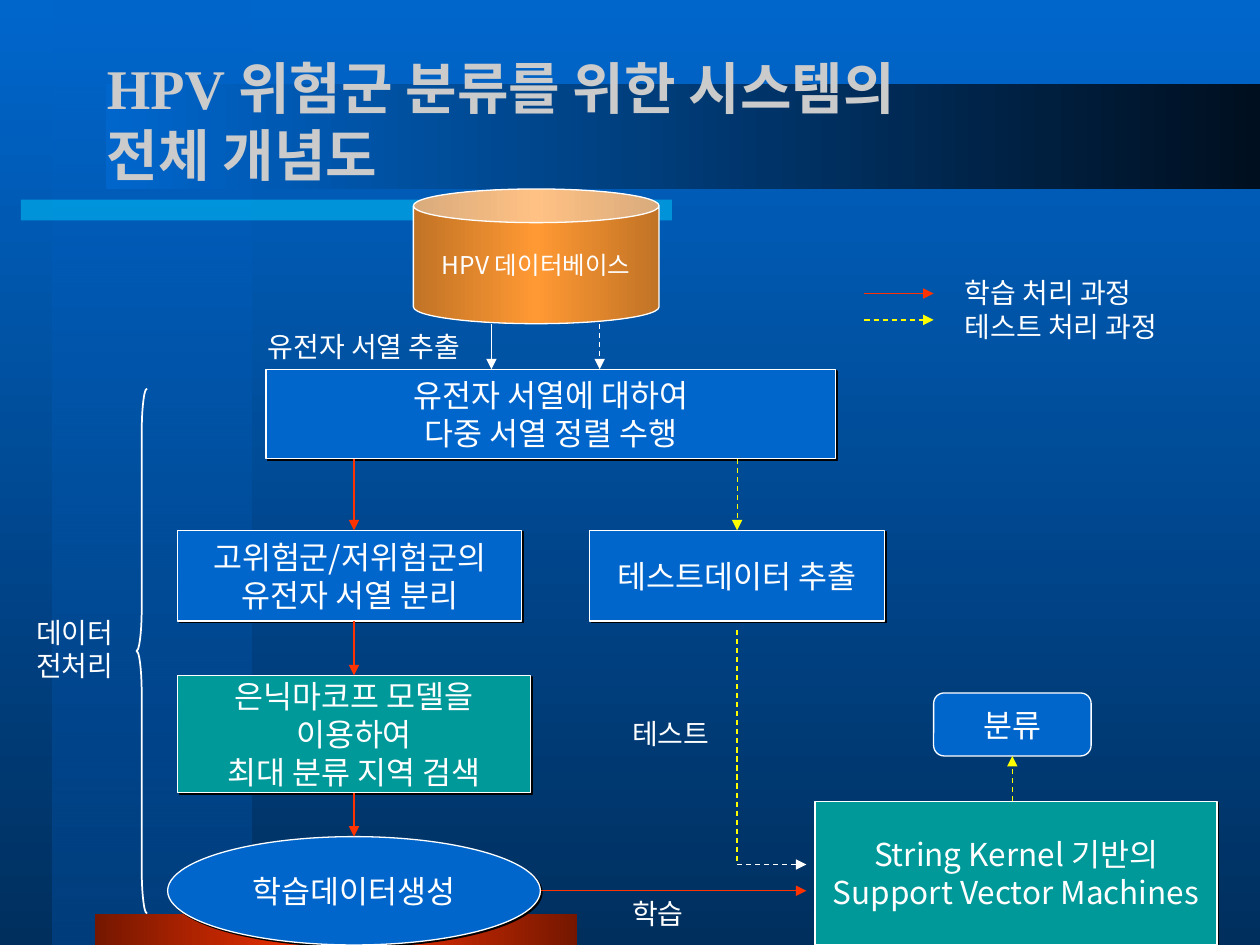
from lxml import etree
from pptx import Presentation
from pptx.dml.color import RGBColor
from pptx.enum import dml, shapes, text
from pptx.oxml import parse_xml
from pptx.oxml.ns import nsdecls, qn
from pptx.util import Pt

WHITE = RGBColor(0xFF, 0xFF, 0xFF)
TITLE_GRAY = RGBColor(0xCB, 0xCB, 0xCB)
BLUE = RGBColor(0x00, 0x66, 0xCC)
MID_BLUE = RGBColor(0x00, 0x3E, 0x7D)
DEEP_BLUE = RGBColor(0x00, 0x2F, 0x5E)
NIGHT = RGBColor(0x00, 0x0F, 0x1F)
CYAN = RGBColor(0x00, 0xCC, 0xFF)
TEAL = RGBColor(0x00, 0x99, 0x99)
RED = RGBColor(0xFF, 0x33, 0x00)
DARK_RED = RGBColor(0x75, 0x17, 0x00)
YELLOW = RGBColor(0xFF, 0xFF, 0x00)
ORANGE = RGBColor(0xFF, 0x99, 0x33)
BROWN = RGBColor(0xC1, 0x73, 0x26)

SANS = "Noto Sans CJK KR"
SERIF = "Times New Roman"
SHAPE = shapes.MSO_SHAPE
CENTER = text.PP_ALIGN.CENTER
LEFT = text.PP_ALIGN.LEFT


def set_gradient(fill, angle, *stops):
    """Fill with stops of (percent, colour, opacity percent); angle is clockwise."""
    fill.gradient()
    gradient = fill._fill._gradFill
    stop_list = gradient.find(qn("a:gsLst"))
    for stop in list(stop_list):
        stop_list.remove(stop)
    for percent, color, opacity in stops:
        stop_list.append(parse_xml(
            f'<a:gs {nsdecls("a")} pos="{percent * 1000}"><a:srgbClr val="{color}">'
            f'<a:alpha val="{opacity * 1000}"/></a:srgbClr></a:gs>'))
    gradient.find(qn("a:lin")).set("ang", str(angle * 60000))


def set_text(shape, lines, size=18, font=SANS, color=WHITE, bold=False,
             align=CENTER, anchor=text.MSO_ANCHOR.MIDDLE, wrap=False):
    frame = shape.text_frame
    frame.word_wrap = wrap
    frame.vertical_anchor = anchor
    for index, line in enumerate(lines):
        paragraph = frame.paragraphs[0] if index == 0 else frame.add_paragraph()
        paragraph.text = line
        paragraph.alignment = align
        for run in paragraph.runs:
            run.font.size = Pt(size)
            run.font.name = font
            run.font.bold = bold
            run.font.color.rgb = color
            east_asian = etree.SubElement(run.font._element, qn("a:ea"))
            east_asian.set("typeface", SANS)


def add_label(slide, left, top, width, height, lines, **text_format):
    label = slide.shapes.add_textbox(Pt(left), Pt(top), Pt(width), Pt(height))
    options = dict(size=16, align=LEFT, anchor=text.MSO_ANCHOR.TOP)
    set_text(label, lines, **{**options, **text_format})
    label.text_frame.auto_size = text.MSO_AUTO_SIZE.SHAPE_TO_FIT_TEXT


def add_shape(slide, kind, left, top, width, height, fill=None, outline=None):
    shape = slide.shapes.add_shape(kind, Pt(left), Pt(top), Pt(width), Pt(height))
    shape.shadow.inherit = False
    if fill is None:
        shape.fill.background()
    else:
        shape.fill.solid()
        shape.fill.fore_color.rgb = fill
    if outline is None:
        shape.line.fill.background()
    else:
        shape.line.color.rgb = WHITE
        shape.line.width = Pt(outline)
    return shape


def add_node(slide, left, top, width, height, lines,
             fill=BLUE, kind=SHAPE.RECTANGLE, shadow=True, size=18):
    node = add_shape(slide, kind, left, top, width, height, fill, 0.75)
    set_text(node, lines, size=size)
    if shadow:
        effects = node._element.spPr.find(qn("a:effectLst"))
        effects.append(parse_xml(
            f'<a:outerShdw {nsdecls("a")} blurRad="0" dist="{Pt(1.4)}" dir="2700000" '
            'algn="ctr" rotWithShape="0"><a:srgbClr val="000000"/></a:outerShdw>'))
    return node


def add_arrow(slide, x1, y1, x2, y2, color, dashed=False, head=True):
    arrow = slide.shapes.add_connector(
        shapes.MSO_CONNECTOR.STRAIGHT, Pt(x1), Pt(y1), Pt(x2), Pt(y2))
    arrow.line.color.rgb = color
    arrow.line.width = Pt(0.75)
    if dashed:
        arrow.line.dash_style = dml.MSO_LINE.DASH
    if head:
        etree.SubElement(arrow.line._get_or_add_ln(), qn("a:tailEnd"), type="triangle")
    etree.SubElement(arrow._element.spPr, qn("a:effectLst"))
    return arrow


def draw_backdrop(slide, left, top, width, height):
    set_gradient(slide.background.fill, 90, (0, BLUE, 100), (100, DEEP_BLUE, 100))
    side_band = add_shape(slide, SHAPE.RECTANGLE, left + 30, top, 114, height, BLUE)
    set_gradient(side_band.fill, 90, (0, BLUE, 50), (100, MID_BLUE, 100))
    underline = add_shape(slide, SHAPE.RECTANGLE, left + 12, top + 114, 372, 12, CYAN)
    color = underline._element.spPr.find(qn("a:solidFill"))[0]
    etree.SubElement(color, qn("a:alpha"), val="50000")
    foot = add_shape(slide, SHAPE.RECTANGLE, left + 54, top + height - 18, 276, 18, RED)
    set_gradient(foot.fill, 180, (0, DARK_RED, 100), (50, RED, 100), (100, DARK_RED, 100))
    title_band = add_shape(slide, SHAPE.RECTANGLE, left + 60.5, top + 48, width - 60.5, 60, BLUE)
    set_gradient(title_band.fill, 180, (0, NIGHT, 100), (100, BLUE, 100))


def draw_title(slide, left, top, width, height):
    title = slide.shapes.add_textbox(Pt(left), Pt(top), Pt(width), Pt(height))
    set_text(title, ["HPV 위험군 분류를 위한 시스템의\v전체 개념도"], size=32, font=SERIF,
             color=TITLE_GRAY, bold=True, align=LEFT, wrap=True)


def draw_database(slide, left, top, width, height):
    """Database cylinder, with the extraction arrows that leave its foot."""
    database = add_node(slide, left, top, width, height, ["HPV 데이터베이스"],
                        kind=SHAPE.CAN, shadow=False, size=14)
    database.adjustments[0] = 0.25
    set_gradient(database.fill, 180,
                 (0, BROWN, 100), (50, ORANGE, 100), (100, BROWN, 100))
    bottom = top + height
    add_label(slide, left - 112.4, bottom, 168.5, 26.6, ["유전자 서열 추출"],
              align=CENTER, wrap=True)
    for offset, dashed in ((44.6, False), (106.5, True)):
        add_arrow(slide, left + offset, bottom, left + offset, bottom + 26, WHITE, dashed)


def draw_preprocessing(slide, left, top, width, height):
    """Alignment box, then the training column and the test data box."""
    train_x, test_x = left + 106.5, left + width - 84.25
    aligned = top + 51.1
    split_top, split_height = top + 92.1, 51.8
    search_top, search_height = top + 174.9, 67
    data_top = top + height - 61.9

    add_node(slide, left + 56.2, top, 325.4, 51.1,
             ["유전자 서열에 대하여", "다중 서열 정렬 수행"])
    add_node(slide, left + 5.7, split_top, 196.6, split_height,
             ["고위험군/저위험군의", "유전자 서열 분리"])
    test_data = add_node(slide, test_x - 84.25, split_top, 168.5, split_height,
                         ["테스트데이터 추출"])
    search = add_node(slide, train_x - 100.8, search_top, 201.6, search_height,
                      ["은닉마코프 모델을", "이용하여", "최대 분류 지역 검색"], fill=TEAL)
    training_data = add_node(slide, left, data_top, 213, 61.9, ["학습데이터생성"],
                             kind=SHAPE.OVAL)

    add_arrow(slide, train_x, aligned, train_x, split_top, RED)
    add_arrow(slide, train_x, split_top + split_height, train_x, search_top,
              RED).end_connect(search, 0)
    to_data = add_arrow(slide, train_x, search_top + search_height, train_x, data_top, RED)
    to_data.begin_connect(search, 2)
    to_data.end_connect(training_data, 0)
    add_arrow(slide, test_x, aligned, test_x, split_top, YELLOW,
              dashed=True).end_connect(test_data, 0)


def draw_classification(slide, left, top, width, height):
    """Training and test inputs at the left, classifier and its result at the right."""
    right, bottom = left + width, top + height
    machine_left, machine_top = right - 229.7, bottom - 82.1
    input_x, test_x = machine_left - 5, left + 112.2
    test_y, train_y = bottom - 46, bottom - 31

    add_node(slide, machine_left, machine_top, 229.7, 82.1,
             ["String Kernel 기반의", "Support Vector Machines"], fill=TEAL)
    result_left = machine_left + 67.7
    result = add_node(slide, result_left, bottom - 144, 90, 36, ["분류"],
                      kind=SHAPE.FLOWCHART_ALTERNATE_PROCESS, shadow=False)
    add_arrow(slide, result_left + 45, machine_top, result_left + 45, bottom - 108,
              YELLOW, dashed=True).end_connect(result, 2)

    add_arrow(slide, left, train_y, input_x, train_y, RED)
    add_arrow(slide, test_x, top, test_x, test_y, YELLOW, dashed=True, head=False)
    add_arrow(slide, test_x, test_y, input_x, test_y, WHITE, dashed=True)
    for name, label_top in (("학습", train_y), ("테스트", top + 46)):
        add_label(slide, left + 45.2, label_top, 67, 26.6, [name], wrap=True)


def draw_legend(slide, left, top, width, height):
    add_label(slide, left + 50.3, top, width - 50.3, height,
              ["학습 처리 과정", "테스트 처리 과정"])
    for offset, color, dashed in ((13.7, RED, False), (28.8, YELLOW, True)):
        add_arrow(slide, left, top + offset, left + 39.5, top + offset, color, dashed)


def draw_stage_brace(slide, left, top, width, height):
    brace = add_shape(slide, SHAPE.LEFT_BRACE, left + width - 6, top, 6, height, outline=1)
    brace.adjustments[0] = 4.17
    add_label(slide, left, top + 126, 62.6, 46.1, ["데이터", "전처리"], font=SERIF)


def main():
    presentation = Presentation()
    presentation.slide_width, presentation.slide_height = Pt(720), Pt(540)
    slide = presentation.slides.add_slide(presentation.slide_layouts[6])
    draw_backdrop(slide, 0, 0, 720, 540)
    draw_title(slide, 54, 36, 612, 66)
    draw_database(slide, 236.2, 108, 140.4, 77)
    draw_preprocessing(slide, 95.8, 211, 409.7, 329)
    draw_classification(slide, 309, 360, 386.5, 180)
    draw_legend(slide, 494, 154, 176.3, 46)
    draw_stage_brace(slide, 13.7, 222, 70.3, 300)
    presentation.save("out.pptx")


if __name__ == "__main__":
    main()
